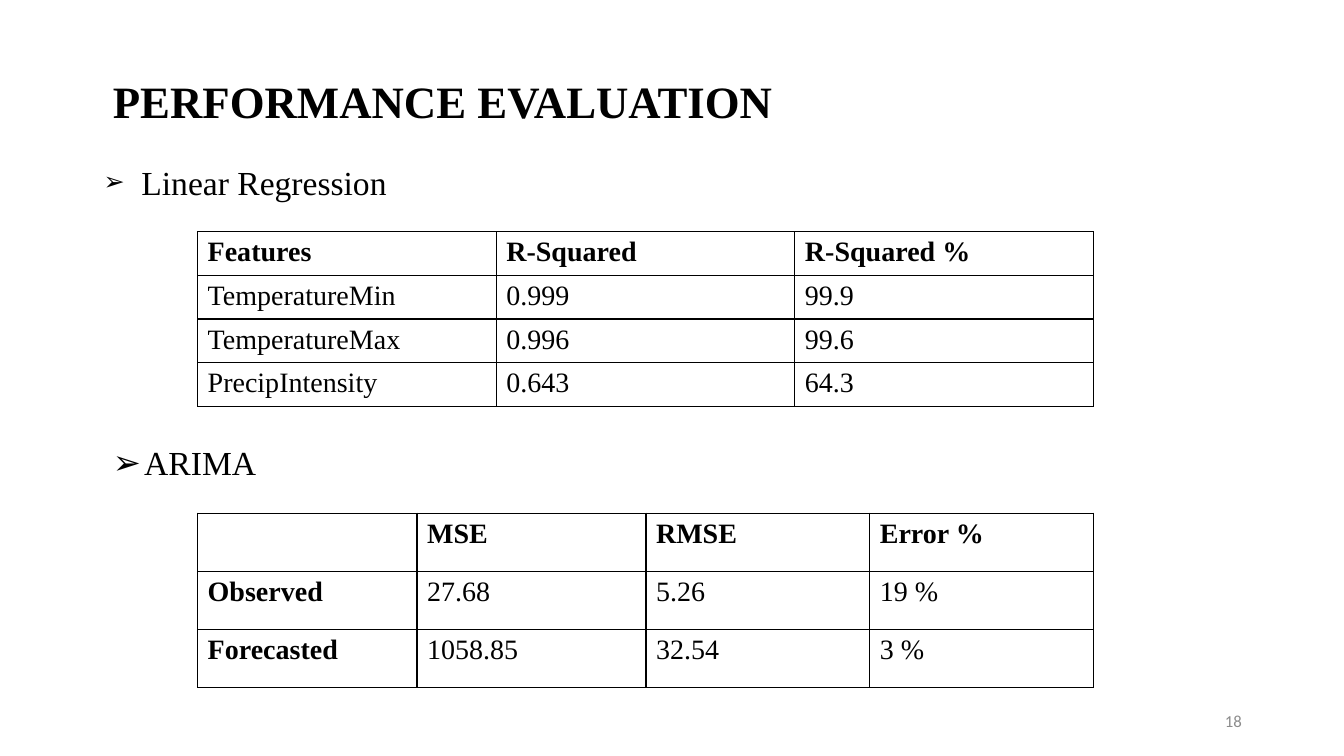
from dataclasses import dataclass

from lxml.etree import SubElement
from pptx import Presentation
from pptx.dml.color import RGBColor
from pptx.enum.text import MSO_ANCHOR as Anchor, MSO_AUTO_SIZE as AutoSize, PP_ALIGN as Align
from pptx.oxml import parse_xml
from pptx.oxml.ns import nsdecls, qn
from pptx.util import Cm, Pt


@dataclass(frozen=True)
class Theme:
    serif: str = "Times New Roman"
    sans: str = "Calibri"
    ink: str = "000000"
    muted: str = "8C8C8C"
    title: int = 32
    heading: int = 24
    cell: int = 20
    number: int = 12
    border: int = 1


THEME = Theme()

REGRESSION = [
    ["Features", "R-Squared", "R-Squared %"],
    ["TemperatureMin", "0.999", "99.9"],
    ["TemperatureMax", "0.996", "99.6"],
    ["PrecipIntensity", "0.643", "64.3"],
]
ARIMA = [
    ["", "MSE", "RMSE", "Error %"],
    ["Observed", "27.68", "5.26", "19 %"],
    ["Forecasted", "1058.85", "32.54", "3 %"],
]


def style(paragraph, size, bold=False, color=THEME.ink, face=THEME.serif):
    font = paragraph.font
    font.name, font.size, font.bold = face, Pt(size), bold
    font.color.rgb = RGBColor.from_string(color)


def fill_text(shape, box, text, align=Align.LEFT, anchor=Anchor.TOP):
    """Place a shape in its box and return its single paragraph."""
    shape.left, shape.top, shape.width, shape.height = map(Cm, box)
    frame = shape.text_frame
    frame.word_wrap, frame.auto_size = True, AutoSize.NONE
    frame.vertical_anchor = anchor
    paragraph = frame.paragraphs[0]
    paragraph.text, paragraph.alignment = text, align
    return paragraph


def add_title(placeholder, box, text):
    style(fill_text(placeholder, box, text), THEME.title, bold=True)


def add_heading(placeholder, box, text, indent, bullet_percent=100):
    paragraph = fill_text(placeholder, box, text)
    paragraph.space_before = Pt(0)
    style(paragraph, THEME.heading)
    properties = paragraph._p.get_or_add_pPr()
    properties.set("marL", str(Cm(indent)))
    properties.set("indent", str(-Cm(indent)))
    bullet_size = parse_xml(f'<a:buSzPct {nsdecls("a")} val="{bullet_percent * 1000}"/>')
    bullet = parse_xml(f'<a:buChar {nsdecls("a")} char="➢"/>')
    default_font = properties.find(qn("a:defRPr"))
    default_font.addprevious(bullet_size)
    default_font.addprevious(bullet)


def draw_borders(cell):
    properties = cell._tc.get_or_add_tcPr()
    for position, side in enumerate("LRTB"):
        line = parse_xml(f'<a:ln{side} {nsdecls("a")} w="{Pt(THEME.border)}"/>')
        solid = SubElement(line, qn("a:solidFill"))
        SubElement(solid, qn("a:srgbClr"), val=THEME.ink)
        properties.insert(position, line)


def add_results(slide, box, rows, column_widths, bold_first_column=False):
    frame = slide.shapes.add_table(len(rows), len(rows[0]), *map(Cm, box))
    table = frame.table
    table.first_row = table.horz_banding = False
    for column, width in zip(table.columns, column_widths):
        column.width = Cm(width)
    for r, values in enumerate(rows):
        table.rows[r].height = Cm(box[3] / len(rows))
        for c, value in enumerate(values):
            cell = table.cell(r, c)
            cell.fill.background()
            draw_borders(cell)
            paragraph = cell.text_frame.paragraphs[0]
            paragraph.text = value
            style(paragraph, THEME.cell, bold=r == 0 or (bold_first_column and c == 0))


def add_page_number(slide, box, number):
    label = slide.shapes.add_textbox(*map(Cm, box))
    paragraph = fill_text(label, box, number, Align.RIGHT, Anchor.MIDDLE)
    style(paragraph, THEME.number, color=THEME.muted, face=THEME.sans)


def main():
    deck = Presentation()
    deck.slide_width, deck.slide_height = Cm(33.87), Cm(19.05)
    slide = deck.slides.add_slide(deck.slide_layouts.get_by_name("Two Content"))
    title, regression_heading, arima_heading = slide.placeholders

    add_title(title, (2.59, 1.73, 22.83, 1.63), "PERFORMANCE EVALUATION")
    add_heading(regression_heading, (2.36, 3.94, 29.16, 4.11), "Linear Regression",
                indent=0.95, bullet_percent=75)
    add_results(slide, (4.98, 5.84, 22.58, 4.4), REGRESSION, [22.58 / 3] * 3)
    add_heading(arima_heading, (2.59, 11.02, 16.94, 1.27), "ARIMA", indent=0.79)
    add_results(slide, (4.98, 12.93, 22.58, 4.4), ARIMA, [5.53, 5.77, 5.64, 5.64],
                bold_first_column=True)
    add_page_number(slide, (23.93, 17.65, 7.62, 1.02), "18")
    deck.save("out.pptx")


if __name__ == "__main__":
    main()
